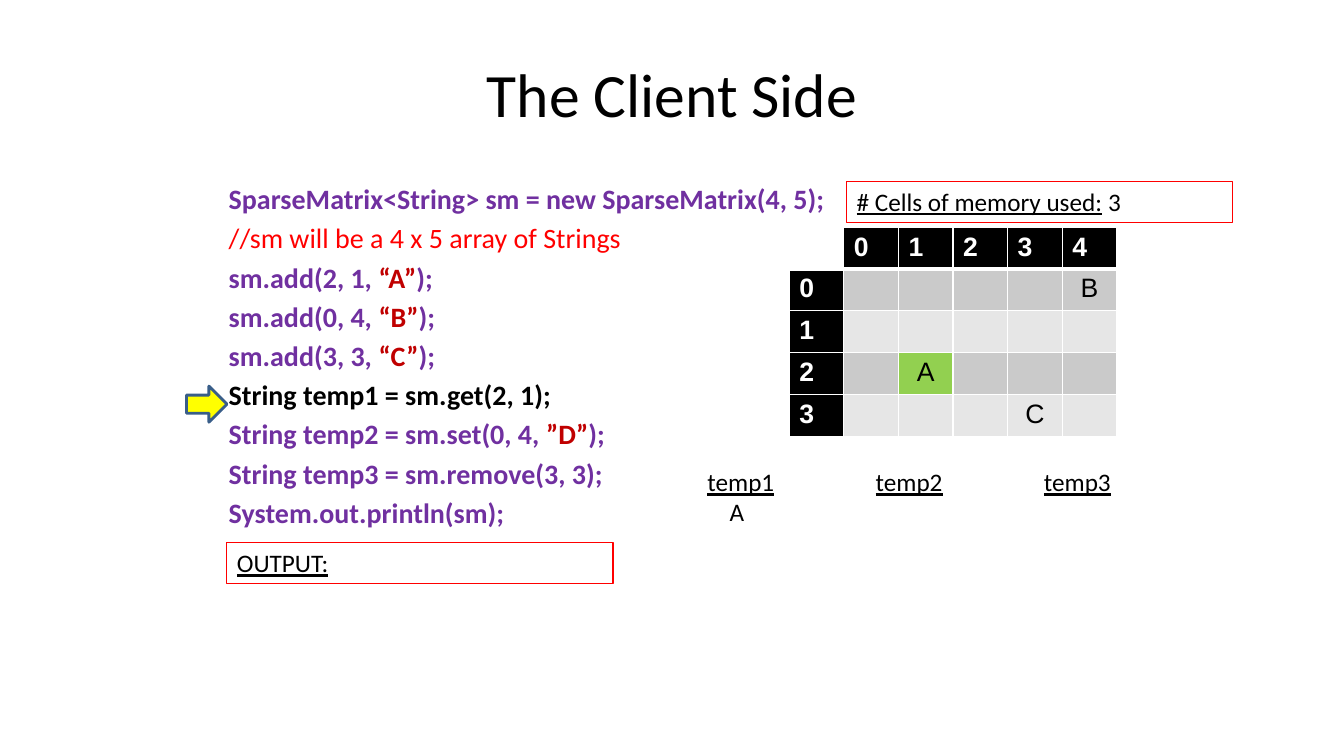
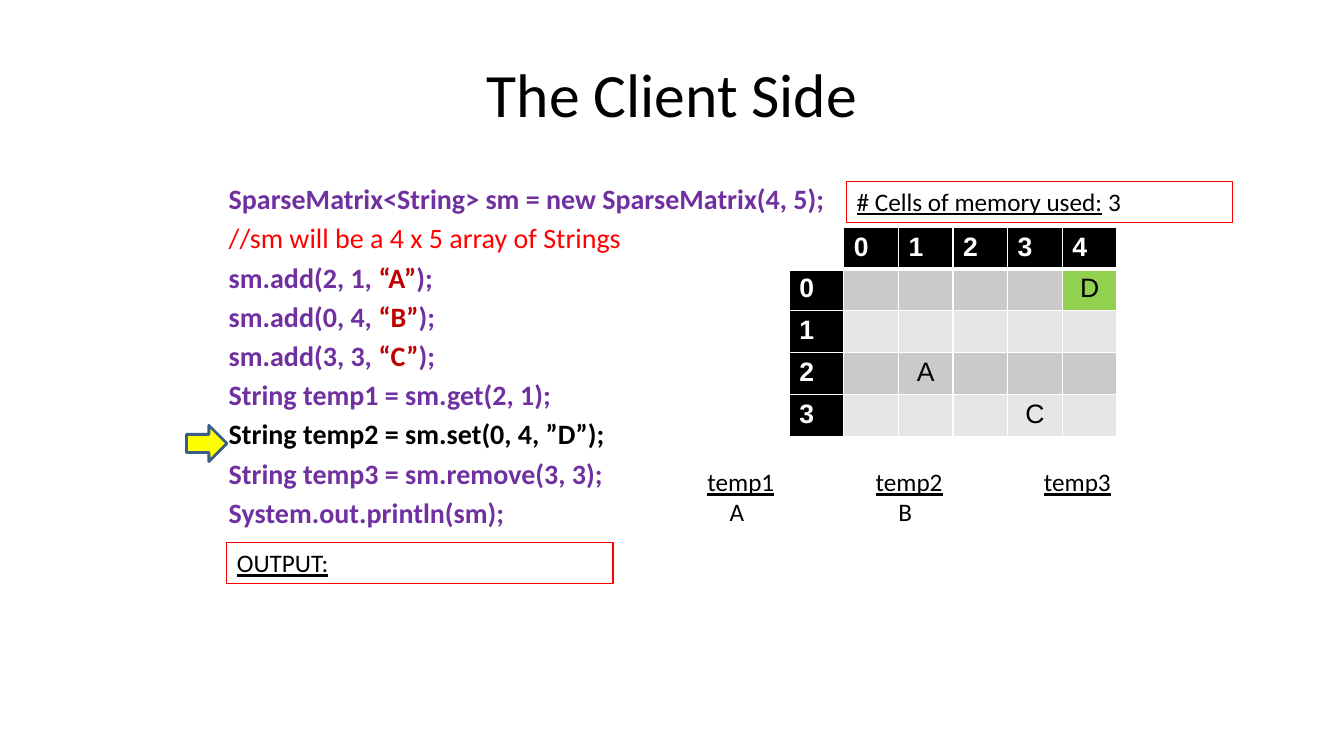
"""Builds two slides that step through the client code of a sparse matrix."""
from dataclasses import dataclass

from lxml import etree
from pptx import Presentation
from pptx import util as u
from pptx.dml.color import RGBColor
from pptx.enum import shapes, text
from pptx.oxml import ns

COLORS = {
    "ink": "000000", "paper": "FFFFFF", "code": "7030A0", "comment": "FF0000",
    "literal": "C00000", "frame": "FF0000", "band_dark": "CACACA",
    "band_light": "E6E6E6", "highlight": "92D050", "arrow": "FFFF00",
    "arrow_line": "395E89",
}
CODE_FONT, GRID_FONT = "Calibri", "Arial"
ROWS, COLUMNS = 4, 5
LINE_PITCH, FIRST_ARROW_TOP = 0.99, 4.78
TEMP_PITCH, VALUE_OFFSET = 4.24, 0.74


@dataclass(frozen=True)
class Span:
    text: str
    color: str = "ink"
    bold: bool = False
    underline: bool = False
    size: float = 18
    font: str = CODE_FONT


@dataclass(frozen=True)
class Area:
    left: float
    top: float
    width: float
    height: float

    def lengths(self) -> tuple:
        return tuple(u.Cm(n) for n in (self.left, self.top, self.width, self.height))


@dataclass(frozen=True)
class Step:
    active_line: int
    values: dict
    changed: tuple
    temps: tuple


TITLE_AREA = Area(5.51, 0.76, 22.86, 3.18)
CODE_AREA = Area(5.51, 4.45, 22.86, 12.57)
GRID_AREA = Area(19.89, 5.72, 8.26, 5.28)
TEMPS_AREA = Area(17.58, 11.63, 10.8, 1.8)
OUTPUT_AREA = Area(5.72, 13.67, 9.73, 1.03)
MEMORY_AREA = Area(21.34, 4.57, 9.73, 1.03)


def code(content: str) -> Span:
    return Span(content, "code", bold=True, size=20)


def call_with(start: str, literal: str) -> list[Span]:
    return [code(start), Span(literal, "literal", bold=True, size=20), code(");")]


CODE_LINES = [
    [code("SparseMatrix<String> sm = new SparseMatrix(4, 5);")],
    [Span("//sm will be a 4 x 5 array of Strings", "comment", size=20)],
    call_with("sm.add(2, 1, ", "“A”"),
    call_with("sm.add(0, 4, ", "“B”"),
    call_with("sm.add(3, 3, ", "“C”"),
    [code("String temp1 = sm.get(2, 1);")],
    call_with("String temp2 = sm.set(0, 4, ", "”D”"),
    [code("String temp3 = sm.remove(3, 3);")],
    [code("System.out.println(sm);")],
]
STEPS = [
    Step(5, {(0, 4): "B", (2, 1): "A", (3, 3): "C"}, (2, 1), ("A",)),
    Step(6, {(0, 4): "D", (2, 1): "A", (3, 3): "C"}, (0, 4), ("A", "B")),
]


def rgb(name: str) -> RGBColor:
    return RGBColor.from_string(COLORS[name])


def add_spans(para, spans: list[Span]) -> None:
    for span in spans:
        run = para.add_run()
        run.text = span.text
        run.font.name = span.font
        run.font.size = u.Pt(span.size)
        run.font.bold = span.bold
        run.font.underline = span.underline
        run.font.color.rgb = rgb(span.color)


def place(box, area: Area) -> None:
    box.left, box.top, box.width, box.height = area.lengths()


def next_para(frame, index: int):
    return frame.paragraphs[0] if index == 0 else frame.add_paragraph()


def set_tabs(para, stops: list[float], align: str) -> None:
    tabs = etree.SubElement(para._p.get_or_add_pPr(), ns.qn("a:tabLst"))
    for stop in stops:
        etree.SubElement(tabs, ns.qn("a:tab"), pos=str(u.Cm(stop)), algn=align)


def add_title(page) -> None:
    title = page.shapes.title
    place(title, TITLE_AREA)
    title.text_frame.vertical_anchor = text.MSO_ANCHOR.MIDDLE
    para = title.text_frame.paragraphs[0]
    para.alignment = text.PP_ALIGN.CENTER
    add_spans(para, [Span("The Client Side", size=44)])


def add_code(page, active_line: int) -> None:
    body = page.placeholders[1]
    place(body, CODE_AREA)
    for index, spans in enumerate(CODE_LINES):
        para = next_para(body.text_frame, index)
        properties = para._p.get_or_add_pPr()
        properties.set("marL", "0")
        properties.set("indent", "0")
        etree.SubElement(properties, ns.qn("a:buNone"))
        if index == active_line:
            joined = "".join(span.text for span in spans)
            spans = [Span(joined, bold=True, size=20)]
        add_spans(para, spans)


def set_borders(cell, row: int) -> None:
    properties = cell._tc.get_or_add_tcPr()
    widths = {"lnL": 1, "lnR": 1, "lnT": 3 if row == 1 else 1, "lnB": 3 if row == 0 else 1}
    for side, width in widths.items():
        line = etree.SubElement(properties, ns.qn(f"a:{side}"), w=str(u.Pt(width)))
        fill = etree.SubElement(line, ns.qn("a:solidFill"))
        etree.SubElement(fill, ns.qn("a:srgbClr"), val=COLORS["paper"])


def cell_look(row: int, column: int, step: Step) -> tuple[str, str]:
    if row == 0 and column == 0:
        return "", "paper"
    if row == 0 or column == 0:
        return str(row + column - 1), "ink"
    position = (row - 1, column - 1)
    band = "band_dark" if row % 2 else "band_light"
    return step.values.get(position, ""), "highlight" if position == step.changed else band


def add_grid(page, step: Step) -> None:
    table = page.shapes.add_table(ROWS + 1, COLUMNS + 1, *GRID_AREA.lengths()).table
    for row in range(ROWS + 1):
        for column in range(COLUMNS + 1):
            cell = table.cell(row, column)
            content, fill = cell_look(row, column, step)
            set_borders(cell, row)
            cell.fill.solid()
            cell.fill.fore_color.rgb = rgb(fill)
            if not content:
                continue
            heading = row == 0 or column == 0
            para = cell.text_frame.paragraphs[0]
            para.alignment = text.PP_ALIGN.LEFT if heading else text.PP_ALIGN.CENTER
            color = "paper" if heading else "ink"
            add_spans(para, [Span(content, color, bold=heading, size=19, font=GRID_FONT)])


def add_temps(page, values: tuple) -> None:
    frame = page.shapes.add_textbox(*TEMPS_AREA.lengths()).text_frame
    frame.word_wrap = True
    names = next_para(frame, 0)
    set_tabs(names, [TEMP_PITCH, 2 * TEMP_PITCH], "l")
    for index, name in enumerate(("temp1", "temp2", "temp3")):
        gap = [Span("\t")] if index else []
        add_spans(names, gap + [Span(name, underline=True)])
    results = next_para(frame, 1)
    set_tabs(results, [VALUE_OFFSET + n * TEMP_PITCH for n in range(len(values))], "ctr")
    add_spans(results, [Span(f"\t{value}") for value in values])


def add_framed_box(page, area: Area, spans: list[Span]) -> None:
    box = page.shapes.add_textbox(*area.lengths())
    box.line.color.rgb = rgb("frame")
    box.line.width = u.Pt(0.75)
    box.text_frame.word_wrap = True
    add_spans(box.text_frame.paragraphs[0], spans)


def add_arrow(page, active_line: int) -> None:
    area = Area(4.7, FIRST_ARROW_TOP + active_line * LINE_PITCH, 1.02, 0.91)
    arrow = page.shapes.add_shape(shapes.MSO_SHAPE.RIGHT_ARROW, *area.lengths())
    arrow.shadow.inherit = False
    arrow.fill.solid()
    arrow.fill.fore_color.rgb = rgb("arrow")
    arrow.line.color.rgb = rgb("arrow_line")
    arrow.line.width = u.Pt(2)


def add_step(deck, step: Step) -> None:
    page = deck.slides.add_slide(deck.slide_layouts[1])
    add_title(page)
    add_code(page, step.active_line)
    add_grid(page, step)
    add_temps(page, step.temps)
    add_framed_box(page, OUTPUT_AREA, [Span("OUTPUT:", underline=True)])
    add_arrow(page, step.active_line)
    memory = [Span("# Cells of memory used:", underline=True), Span(f" {len(step.values)}")]
    add_framed_box(page, MEMORY_AREA, memory)


def main() -> None:
    deck = Presentation()
    deck.slide_width, deck.slide_height = u.Cm(33.87), u.Cm(19.05)
    for step in STEPS:
        add_step(deck, step)
    deck.save("out.pptx")


if __name__ == "__main__":
    main()
